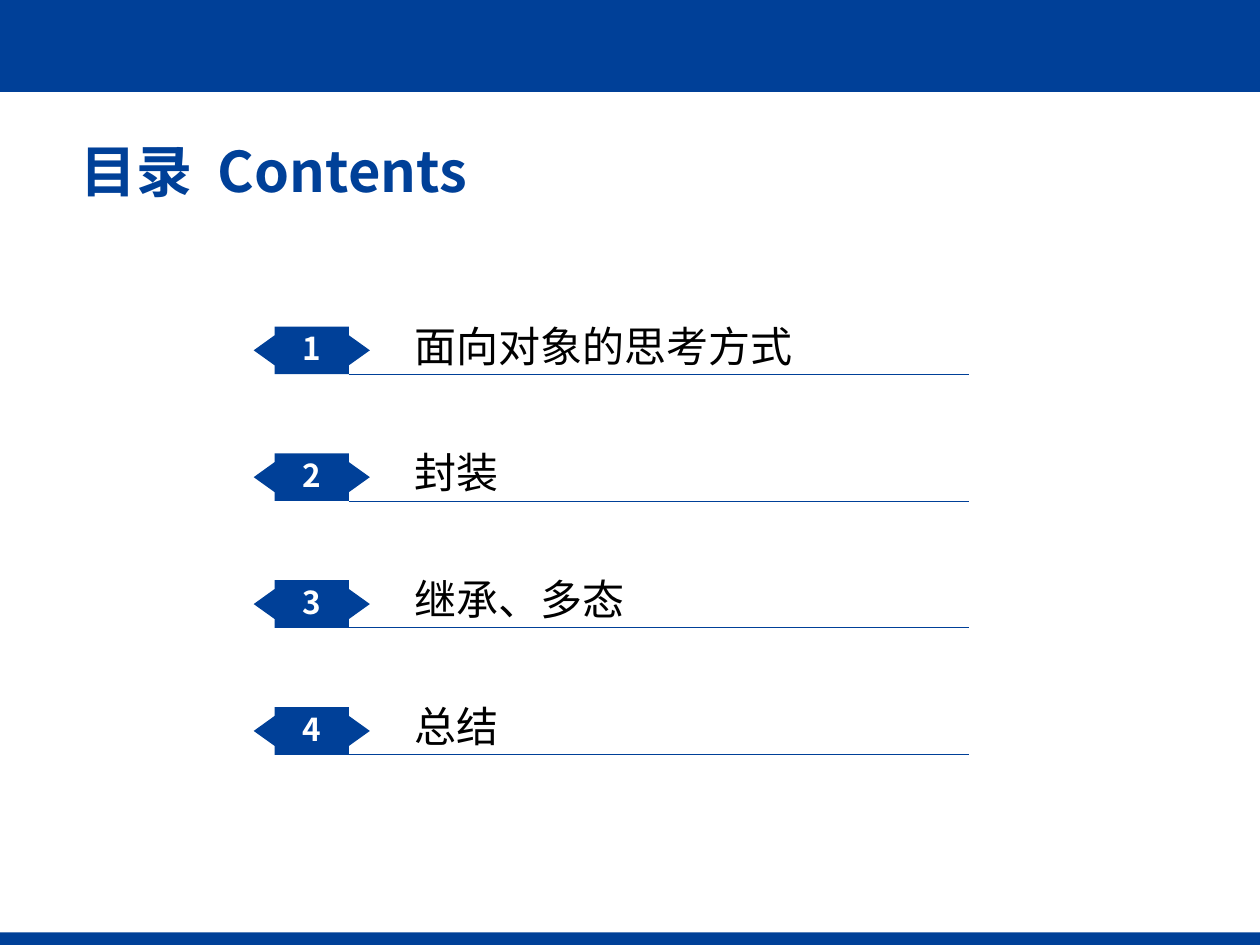
from pptx import Presentation
from pptx.dml.color import RGBColor
from pptx.enum import shapes, text
from pptx.oxml.ns import qn
from pptx.util import Pt
from lxml import etree

BLUE = RGBColor(0x00, 0x40, 0x98)
WHITE = RGBColor(0xFF, 0xFF, 0xFF)
BLACK = RGBColor(0x00, 0x00, 0x00)
FONT = "Noto Sans CJK SC"

WIDTH, HEIGHT = 720, 540
TOPICS = ["面向对象的思考方式", "封装", "继承、多态", "总结"]
FIRST, PITCH = 186.6, 72.5
LEFT, RIGHT = 157, 199.4
TIP, TALL, NOTCH = 12, 27.2, 5


def style(run, size, color, bold=False):
    font = run.font
    font.name, font.size, font.bold = FONT, Pt(size), bold
    font.color.rgb = color
    # East Asian glyphs take their typeface from a:ea
    etree.SubElement(font._element, qn("a:ea")).set("typeface", FONT)


def paint(shape):
    shape.fill.solid()
    shape.fill.fore_color.rgb = BLUE
    shape.line.fill.background()
    shape.shadow.inherit = False


def add_bar(slide, top, high):
    paint(slide.shapes.add_shape(shapes.MSO_SHAPE.RECTANGLE,
                                 0, Pt(top), Pt(WIDTH), Pt(high)))


def add_title(slide):
    title = slide.shapes.title
    title.left, title.top = Pt(38.9), Pt(77)
    title.width, title.height = Pt(659.5), Pt(45.4)
    frame = title.text_frame
    frame.auto_size = text.MSO_AUTO_SIZE.NONE
    frame.vertical_anchor = text.MSO_ANCHOR.MIDDLE
    para = frame.paragraphs[0]
    para.alignment = text.PP_ALIGN.LEFT
    para.line_spacing = 0.9
    for part in ("目录", " ", "Contents"):
        run = para.add_run()
        run.text = part
        style(run, 32, BLUE, True)
    # Widen the gap between the two languages by 7 pt
    para.runs[1].font._element.set("spc", "700")


def add_text(parent, box, words, size, color, bold=False):
    frame = parent.shapes.add_textbox(*map(Pt, box)).text_frame
    frame.text = words
    style(frame.paragraphs[0].runs[0], size, color, bold)
    return frame


def add_badge(slide, top, label):
    """Group a number with its block, pointed on both sides."""
    group = slide.shapes.add_group_shape()
    mid, low = top + TALL / 2, top + TALL
    points = [(RIGHT, top), (LEFT, top), (LEFT, top + NOTCH),
              (LEFT - TIP, mid), (LEFT, low - NOTCH), (LEFT, low),
              (RIGHT, low), (RIGHT, low - NOTCH), (RIGHT + TIP, mid),
              (RIGHT, top + NOTCH)]
    start, *rest = [(Pt(x), Pt(y)) for x, y in points]
    pen = group.shapes.build_freeform(*start)
    pen.add_line_segments(rest, close=True)
    paint(pen.convert_to_shape())

    frame = add_text(group, (163.1, top - 5.1, 30, 34.6), label, 18, WHITE, True)
    frame.word_wrap = False
    frame.vertical_anchor = text.MSO_ANCHOR.MIDDLE
    frame.paragraphs[0].alignment = text.PP_ALIGN.CENTER


def add_rule(slide, y):
    rule = slide.shapes.add_connector(shapes.MSO_CONNECTOR.STRAIGHT,
                                      Pt(RIGHT), Pt(y), Pt(553.7), Pt(y))
    rule.line.color.rgb = BLUE
    rule.line.width = Pt(0.5)
    etree.SubElement(rule._element.spPr, qn("a:effectLst"))


def add_topic(slide, index, words):
    top = FIRST + index * PITCH
    add_badge(slide, top, str(index + 1))
    add_rule(slide, top + TALL)
    frame = add_text(slide, (229.7, top - 7.2, 345.6, 36), words, 24, BLACK)
    frame.word_wrap = True
    frame.auto_size = text.MSO_AUTO_SIZE.SHAPE_TO_FIT_TEXT


def main():
    deck = Presentation()
    deck.slide_width, deck.slide_height = Pt(WIDTH), Pt(HEIGHT)
    slide = deck.slides.add_slide(deck.slide_layouts[5])
    add_bar(slide, 0, 52.6)
    add_bar(slide, HEIGHT - 7.2, 7.2)
    add_title(slide)
    for index, words in enumerate(TOPICS):
        add_topic(slide, index, words)
    deck.save("out.pptx")


if __name__ == "__main__":
    main()
